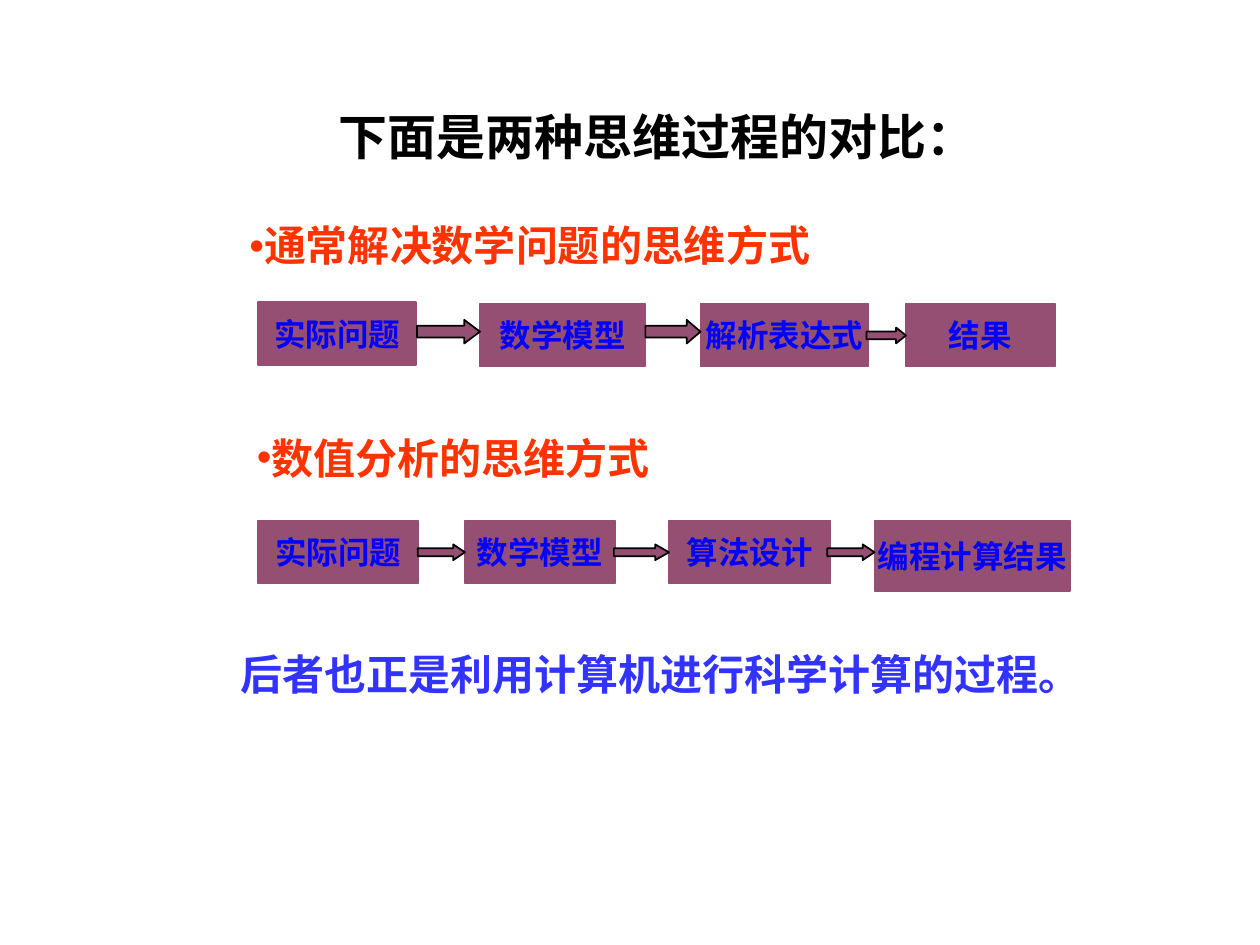
"""Build a slide that compares two ways of thinking as flow charts."""
from lxml import etree
from pptx import Presentation
from pptx.dml.color import RGBColor
from pptx.enum import shapes, text
from pptx.oxml import ns
from pptx.util import Pt

BLACK = RGBColor(0x00, 0x00, 0x00)
ORANGE = RGBColor(0xFF, 0x33, 0x00)
BLUE = RGBColor(0x00, 0x00, 0xFF)
INDIGO = RGBColor(0x33, 0x33, 0xFF)
PLUM = RGBColor(0x95, 0x4F, 0x72)
CJK = "Noto Sans CJK SC"

USUAL_STEPS = [("实际问题", 0, 0, 90, 36), ("数学模型", 126.7, 0.7, 94.3, 36),
               ("解析表达式", 252.7, 0.7, 95.8, 36), ("结果", 370.1, 0.7, 85, 36)]
USUAL_ARROWS = [(36, 13.5, 10), (31.5, 13.5, 10), (22.5, 9, 14.4)]
NUMERIC_STEPS = [("实际问题", 0, 0, 91.4, 36), ("数学模型", 118.1, 0, 85.7, 36),
                 ("算法设计", 234.7, 0, 92.2, 36), ("编程计算结果", 352.1, 0, 111.6, 40.5)]
NUMERIC_ARROWS = [(27, 9, 13.7), (31.5, 9, 13.7), (27, 9, 13.7)]


def write(sp, words, size, color, latin=CJK, **para):
    """Put one bold paragraph in a shape and return it."""
    p = sp.text_frame.paragraphs[0]
    r = p.add_run()
    r.text = words
    for key, value in {"size": Pt(size), "bold": True, "name": latin}.items():
        setattr(r.font, key, value)
    r.font.color.rgb = color
    ea = etree.SubElement(r.font._element, ns.qn("a:ea"))
    ea.set("typeface", CJK)
    for key, value in para.items():
        setattr(p, key, value)
    return p


def place_title(s, x, y, w, h):
    """Move the title placeholder to its box and fill it."""
    sp = s.shapes.title
    for key, value in {"left": x, "top": y, "width": w, "height": h}.items():
        setattr(sp, key, Pt(value))
    sp.text_frame.vertical_anchor = text.MSO_ANCHOR.TOP
    write(sp, "下面是两种思维过程的对比：", 28, BLACK, "Calibri",
          alignment=text.PP_ALIGN.LEFT, line_spacing=0.9)


def add_line(s, x, y, w, h, words, color, bullet=False, **para):
    """Add a text line, with a bullet when asked."""
    sp = s.shapes.add_textbox(Pt(x), Pt(y), Pt(w), Pt(h))
    sp.text_frame.word_wrap = True
    p = write(sp, words, 24, color, **para)
    if bullet:
        pr = p._p.get_or_add_pPr()
        pr.set("marL", "0")
        pr.set("indent", "0")
        etree.SubElement(pr, ns.qn("a:buFont")).set("typeface", "Arial")
        etree.SubElement(pr, ns.qn("a:buChar")).set("char", "•")


def add_block(s, kind, x, y, w, h, line):
    """Add a plum shape with a thin outline."""
    sp = s.shapes.add_shape(kind, Pt(x), Pt(y), Pt(w), Pt(h))
    sp.shadow.inherit = False
    sp.fill.solid()
    sp.fill.fore_color.rgb = PLUM
    sp.line.color.rgb = line
    sp.line.width = Pt(1)
    return sp


def add_flow(s, x, y, steps, arrows):
    """Add a row of steps, each arrow ending at the step that follows."""
    kinds = shapes.MSO_SHAPE
    for label, dx, dy, w, h in steps:
        sp = add_block(s, kinds.FLOWCHART_PROCESS, x + dx, y + dy, w, h, PLUM)
        sp.text_frame.word_wrap = False
        sp.text_frame.vertical_anchor = text.MSO_ANCHOR.MIDDLE
        write(sp, label, 18, BLUE, alignment=text.PP_ALIGN.CENTER)
    for (w, h, dy), (_, dx, *_) in zip(arrows, steps[1:]):
        sp = add_block(s, kinds.RIGHT_ARROW, x + dx - w, y + dy, w, h, BLACK)
        sp.adjustments[0] = 0.5
        sp.adjustments[1] = w / h / 4


def main():
    """Build and save the slide."""
    prs = Presentation()
    prs.slide_width, prs.slide_height = Pt(720), Pt(540)
    s = prs.slides.add_slide(prs.slide_layouts[5])
    place_title(s, 186.5, 61.2, 360, 38.2)
    add_line(s, 135.4, 125.3, 459.4, 102.2, "通常解决数学问题的思维方式", ORANGE,
             bullet=True, line_spacing=0.9, space_before=Pt(10))
    add_flow(s, 147.6, 172.8, USUAL_STEPS, USUAL_ARROWS)
    add_line(s, 139.7, 243.4, 265.7, 36, "数值分析的思维方式", ORANGE,
             bullet=True, space_before=Pt(5))
    add_flow(s, 147.6, 297.4, NUMERIC_STEPS, NUMERIC_ARROWS)
    add_line(s, 130.3, 367.2, 495.4, 36, "后者也正是利用计算机进行科学计算的过程。", INDIGO)
    prs.save("out.pptx")


main()
